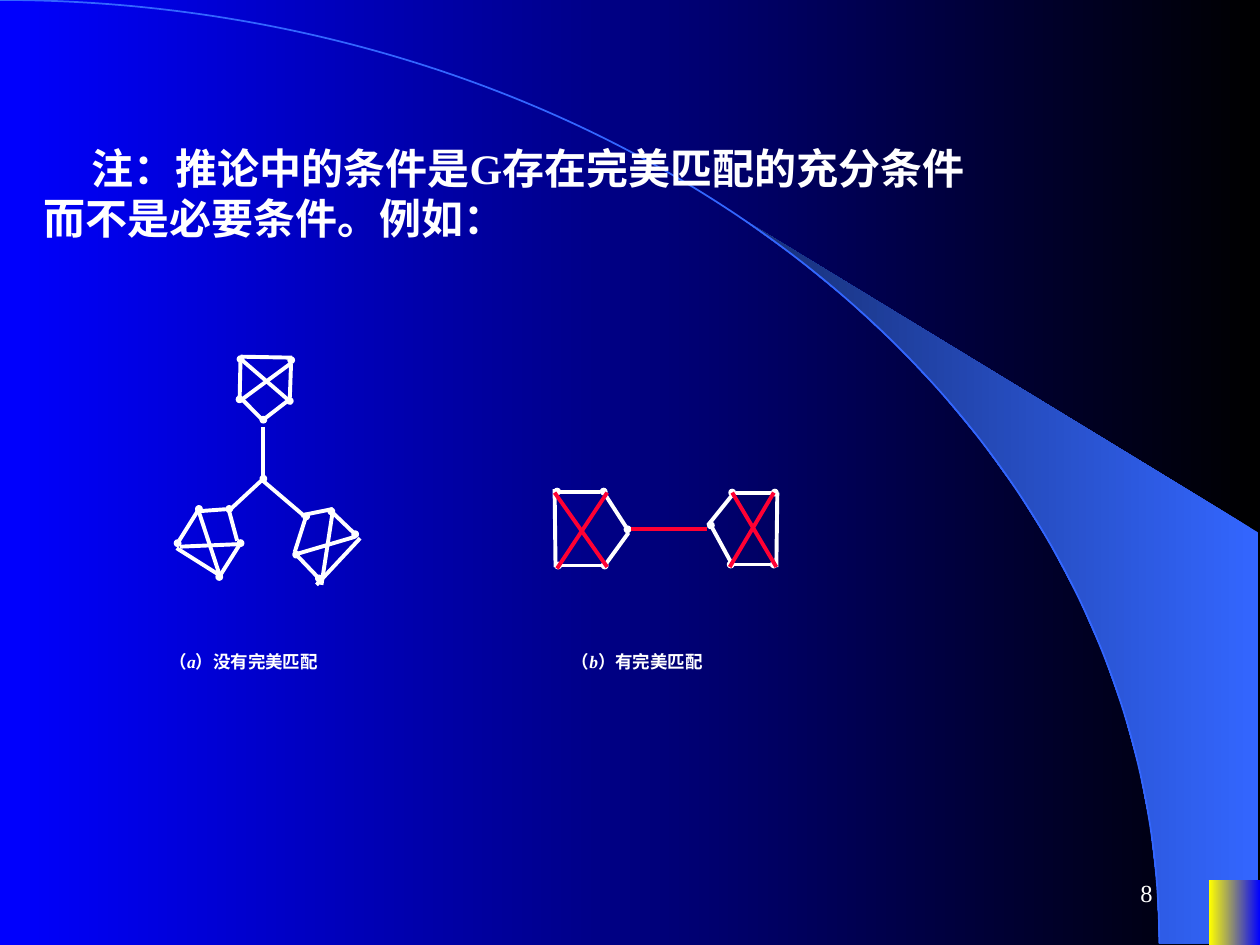
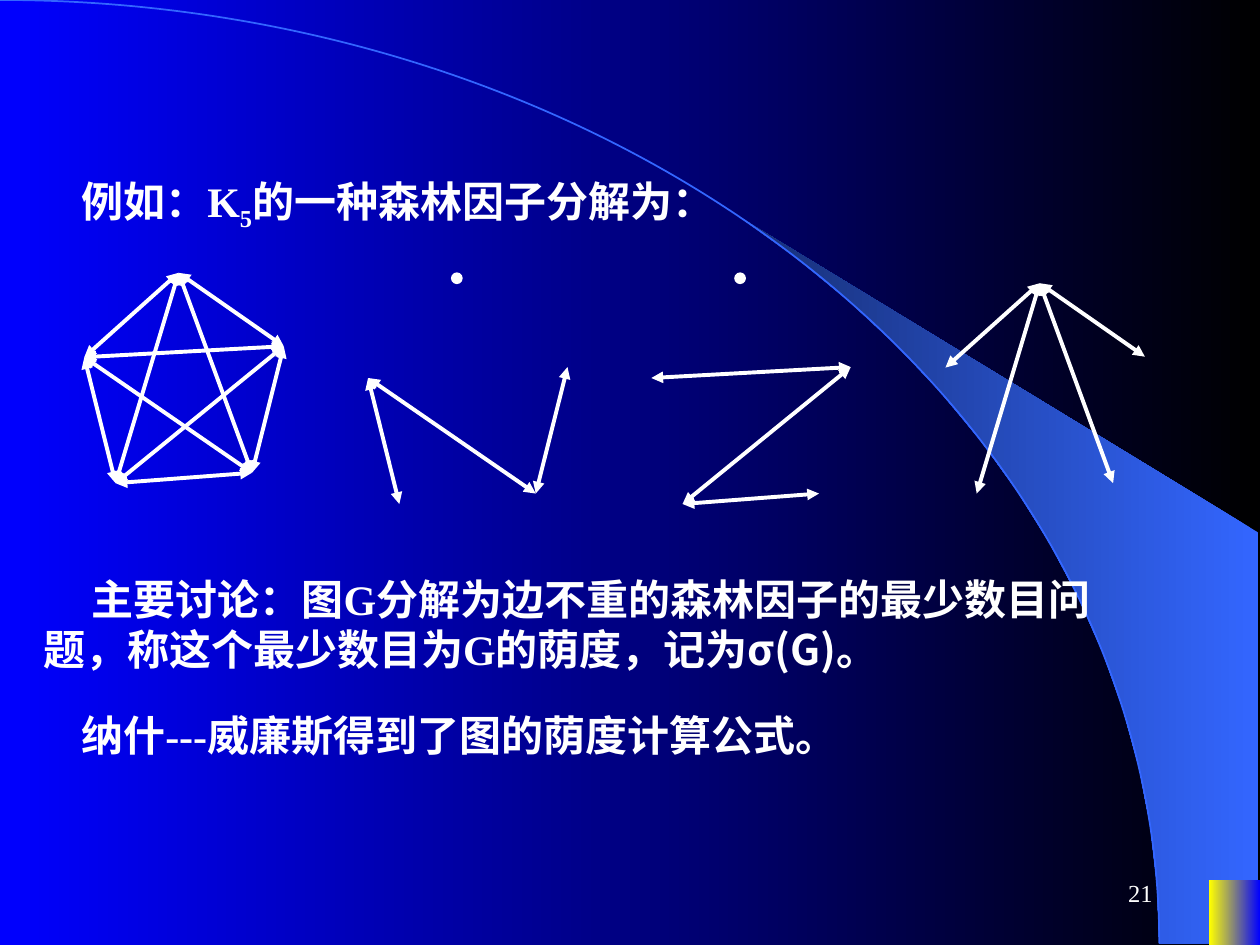
from dataclasses import dataclass
from itertools import combinations
from math import cos, radians, sin

from lxml.etree import SubElement
from pptx import Presentation
from pptx.dml.color import RGBColor
from pptx.dml.fill import FillFormat
from pptx.enum.shapes import MSO_CONNECTOR, MSO_SHAPE
from pptx.enum.text import MSO_ANCHOR, MSO_AUTO_SIZE, PP_ALIGN
from pptx.oxml.ns import qn
from pptx.slide import Slide
from pptx.util import Cm, Pt

Point = tuple[float, float]


@dataclass(frozen=True)
class Theme:
    white: RGBColor = RGBColor(0xFF, 0xFF, 0xFF)
    black: RGBColor = RGBColor(0x00, 0x00, 0x00)
    blue: RGBColor = RGBColor(0x00, 0x00, 0xFF)
    arc_blue: RGBColor = RGBColor(0x33, 0x66, 0xFF)
    wedge_navy: RGBColor = RGBColor(0x17, 0x2F, 0x75)
    yellow: RGBColor = RGBColor(0xFF, 0xFF, 0x00)
    matching_red: RGBColor = RGBColor(0xFF, 0x00, 0x33)
    latin: str = "Times New Roman"
    chinese: str = "Noto Sans CJK SC"
    body: float = 24
    caption: float = 10
    page_number: float = 14
    edge_width: float = 2.25


THEME = Theme()
ARC_RADIUS_X, ARC_RADIUS_Y = 23.37, 19.02


@dataclass(frozen=True)
class Edge:
    """A graph edge in centimetres, with the mark drawn at each end."""
    start: Point
    end: Point
    head: str = "none"
    tail: str = "none"
    color: RGBColor = THEME.white


@dataclass(frozen=True)
class Span:
    text: str
    italic: bool = False
    subscript: bool = False
    latin: str = THEME.latin


@dataclass(frozen=True)
class TextBlock:
    left: float
    top: float
    width: float
    height: float
    spans: tuple[Span, ...]
    size: float = THEME.body
    bold: bool = True
    indent: float = 0
    align: PP_ALIGN = PP_ALIGN.LEFT
    anchor: MSO_ANCHOR = MSO_ANCHOR.TOP


def dotted(start: Point, end: Point) -> Edge:
    return Edge(start, end, "oval", "oval")


def dot_first(start: Point, end: Point) -> Edge:
    return Edge(start, end, "oval")


def matched(start: Point, end: Point) -> Edge:
    return Edge(start, end, color=THEME.matching_red)


def body_text(left: float, top: float, width: float, height: float, *spans: Span) -> TextBlock:
    return TextBlock(left, top, width, height, spans, indent=0.98, anchor=MSO_ANCHOR.BOTTOM)


def caption(left: float, width: float, letter: str, words: str) -> TextBlock:
    spans = (Span("（"), Span(letter, italic=True), Span(f"）{words}"))
    return TextBlock(left, 13, width, 1.4, spans, THEME.caption, align=PP_ALIGN.JUSTIFY)


NO_MATCHING_GRAPH = (
    # top block
    dotted((5.84, 8.08), (5.87, 7.26)),
    dotted((4.83, 8.05), (4.85, 7.24)),
    dot_first((5.31, 8.46), (5.84, 8.05)),
    Edge((5.31, 8.48), (4.88, 8.05)),
    Edge((5.89, 7.21), (4.85, 7.19)),
    Edge((4.88, 7.26), (5.89, 8.13)),
    Edge((4.88, 8.05), (5.87, 7.32)),
    # left block
    dotted((4.01, 10.26), (3.58, 10.95)),
    dotted((4.85, 10.95), (4.42, 11.63)),
    dot_first((4.62, 10.26), (3.94, 10.31)),
    Edge((4.62, 10.31), (4.78, 10.9)),
    Edge((3.56, 11.05), (4.45, 11.61)),
    Edge((3.99, 10.26), (4.45, 11.66)),
    Edge((3.63, 11.02), (4.8, 10.97)),
    # right block
    dotted((5.97, 11.18), (6.43, 11.66)),
    dotted((6.68, 10.31), (7.16, 10.77)),
    dot_first((6.17, 10.41), (5.94, 11.13)),
    Edge((6.07, 10.39), (6.71, 10.26)),
    Edge((6.38, 11.79), (7.26, 10.85)),
    Edge((6.71, 10.29), (6.48, 11.79)),
    Edge((5.94, 11.18), (7.16, 10.82)),
    # branches from the centre
    Edge((5.31, 8.61), (5.31, 9.73)),
    dot_first((5.31, 9.65), (4.62, 10.29)),
    Edge((5.31, 9.7), (6.12, 10.39)),
)

MATCHING_GRAPH = (
    # left block
    dotted((11.23, 9.91), (12.17, 9.91)),
    dotted((11.25, 11.4), (12.19, 11.4)),
    dot_first((12.65, 10.67), (12.14, 9.88)),
    Edge((12.67, 10.74), (12.19, 11.4)),
    Edge((11.18, 9.86), (11.2, 11.43)),
    # right block
    dotted((14.73, 11.38), (15.6, 11.38)),
    dotted((14.76, 9.93), (15.62, 9.93)),
    dot_first((14.33, 10.59), (14.76, 11.38)),
    Edge((14.27, 10.59), (14.76, 9.98)),
    Edge((15.65, 11.43), (15.67, 9.93)),
    # matching and crossing edges
    matched((12.73, 10.67), (14.25, 10.67)),
    matched((11.18, 9.93), (12.24, 11.43)),
    matched((11.23, 11.46), (12.24, 9.93)),
    matched((14.76, 9.93), (15.65, 11.43)),
    matched((14.71, 11.43), (15.6, 9.93)),
)

K5_VERTICES: dict[str, Point] = {
    "top": (3.6, 5.5),
    "left": (1.7, 7.2),
    "right": (5.72, 6.98),
    "lower left": (2.33, 9.74),
    "lower right": (5.08, 9.53),
}
ISOLATED_VERTEX: Point = (3.49, 5.19)


@dataclass(frozen=True)
class Factor:
    """A subgraph of K5, moved sideways and down from the full graph."""
    shift: Point
    pairs: tuple[tuple[str, str], ...]
    isolated: bool = False


K5_AND_FACTORS = (
    Factor((0, 0), tuple(combinations(K5_VERTICES, 2))),
    Factor((5.72, 0.42), (("left", "lower left"), ("right", "lower right"),
                          ("left", "lower right")), True),
    Factor((11.43, 0.42), (("lower left", "lower right"), ("left", "right"),
                           ("right", "lower left")), True),
    Factor((17.36, 0.21), tuple(("top", name) for name in K5_VERTICES if name != "top")),
)


def fill_gradient(fill: FillFormat, right: RGBColor, left: RGBColor) -> None:
    fill.gradient()
    fill.gradient_angle = 180
    for stop, color, position in zip(fill.gradient_stops, (right, left), (0, 1)):
        stop.color.rgb = color
        stop.position = position


def arc_point(angle: float) -> Point:
    """Point of the large quarter ellipse, by angle from its top."""
    turn = radians(angle)
    return ARC_RADIUS_X * sin(turn), ARC_RADIUS_Y * (1 - cos(turn))


def draw_wedge(page: Slide) -> None:
    """Draw the band between the arc and the right edge of the slide."""
    first, steps = 39.8, 14
    inner = [arc_point(first + (90 - first) * step / steps) for step in range(steps + 1)]
    corners = [(Cm(x), Cm(y)) for x, y in inner + [(25.37, 19.02), (25.37, 10.74)]]
    builder = page.shapes.build_freeform(*corners[0], scale=1.0)
    builder.add_line_segments(corners[1:])
    wedge = builder.convert_to_shape()
    wedge.shadow.inherit = False
    fill_gradient(wedge.fill, THEME.arc_blue, THEME.wedge_navy)
    wedge.line.fill.background()


def draw_edge(page: Slide, edge: Edge) -> None:
    connector = page.shapes.add_connector(
        MSO_CONNECTOR.STRAIGHT, *(Cm(value) for value in edge.start + edge.end))
    connector.line.color.rgb = edge.color
    connector.line.width = Pt(THEME.edge_width)
    properties = connector.element.find(qn("p:spPr"))
    line = properties.find(qn("a:ln"))
    for tag, mark in (("a:headEnd", edge.head), ("a:tailEnd", edge.tail)):
        size = "sm" if mark == "oval" else "med"
        SubElement(line, qn(tag), type=mark, w=size, len=size)
    SubElement(properties, qn("a:effectLst"))


def draw_factor(page: Slide, factor: Factor) -> None:
    across, down = factor.shift

    def moved(point: Point) -> Point:
        return point[0] + across, point[1] + down

    for first, second in factor.pairs:
        draw_edge(page, Edge(moved(K5_VERTICES[first]), moved(K5_VERTICES[second]),
                             "triangle", "triangle"))
    if factor.isolated:
        size = 0.21
        x, y = moved(ISOLATED_VERTEX)
        dot = page.shapes.add_shape(MSO_SHAPE.OVAL, Cm(x - size / 2), Cm(y - size / 2),
                                    Cm(size), Cm(size))
        dot.shadow.inherit = False
        dot.fill.solid()
        dot.fill.fore_color.rgb = THEME.white
        dot.line.color.rgb = THEME.white
        dot.line.width = Pt(0.75)


def draw_text(page: Slide, block: TextBlock) -> None:
    box = page.shapes.add_textbox(Cm(block.left), Cm(block.top), Cm(block.width), Cm(block.height))
    frame = box.text_frame
    frame.word_wrap = True
    frame.vertical_anchor = block.anchor
    frame.auto_size = MSO_AUTO_SIZE.NONE
    para = frame.paragraphs[0]
    para.alignment = block.align
    para.line_spacing = Pt(block.size * 1.2)
    if block.indent:
        para._p.get_or_add_pPr().set("indent", str(Cm(block.indent)))
    for span in block.spans:
        run = para.add_run()
        run.text = span.text
        font = run.font
        font.size = Pt(block.size)
        font.bold = block.bold
        font.italic = span.italic
        font.color.rgb = THEME.white
        font.name = span.latin
        properties = run._r.get_or_add_rPr()
        SubElement(properties, qn("a:ea"), typeface=THEME.chinese)
        if span.subscript:
            properties.set("baseline", "-25000")


def add_page(deck: Presentation, number: int) -> Slide:
    """Add a slide with the shared background, arc, corner block and number."""
    page = deck.slides.add_slide(deck.slide_layouts[6])
    fill_gradient(page.background.fill, THEME.black, THEME.blue)
    draw_wedge(page)

    arc = page.shapes.add_shape(MSO_SHAPE.ARC, Cm(-ARC_RADIUS_X), Cm(0),
                                Cm(2 * ARC_RADIUS_X), Cm(2 * ARC_RADIUS_Y))
    arc.shadow.inherit = False
    arc.fill.background()
    arc.line.color.rgb = THEME.arc_blue
    arc.line.width = Pt(1)

    corner = page.shapes.add_shape(MSO_SHAPE.RECTANGLE, Cm(24.38), Cm(17.74), Cm(1.02), Cm(1.31))
    corner.shadow.inherit = False
    fill_gradient(corner.fill, THEME.blue, THEME.yellow)
    corner.line.fill.background()

    draw_text(page, TextBlock(18.21, 17.37, 5.28, 1.27, (Span(str(number)),), THEME.page_number,
                              bold=False, align=PP_ALIGN.RIGHT, anchor=MSO_ANCHOR.MIDDLE))
    return page


def add_matching_page(deck: Presentation) -> None:
    page = add_page(deck, 8)
    draw_text(page, body_text(0.62, 2.74, 19.69, 2.29, Span(
        "注：推论中的条件是G存在完美匹配的充分条件而不是必要条件。例如：")))
    for edge in NO_MATCHING_GRAPH + MATCHING_GRAPH:
        draw_edge(page, edge)
    draw_text(page, caption(3.17, 4.42, "a", "没有完美匹配"))
    draw_text(page, caption(11.28, 4.22, "b", "有完美匹配"))


def add_forest_page(deck: Presentation) -> None:
    page = add_page(deck, 21)
    draw_text(page, body_text(0.41, 3.39, 22.23, 1.42, Span("例如：K"),
                              Span("5", subscript=True), Span("的一种森林因子分解为：")))
    for factor in K5_AND_FACTORS:
        draw_factor(page, factor)
    draw_text(page, body_text(
        0.62, 11.43, 22.23, 2.29,
        Span("主要讨论：图G分解为边不重的森林因子的最少数目问题，称这个最少数目为G的荫度，记为"),
        Span("σ(G)。", latin=THEME.chinese)))
    draw_text(page, body_text(0.41, 14.17, 22.23, 1.27,
                              Span("纳什---威廉斯得到了图的荫度计算公式。")))


def main() -> None:
    deck = Presentation()
    deck.slide_width, deck.slide_height = Cm(25.4), Cm(19.05)
    add_matching_page(deck)
    add_forest_page(deck)
    deck.save("out.pptx")


if __name__ == "__main__":
    main()
